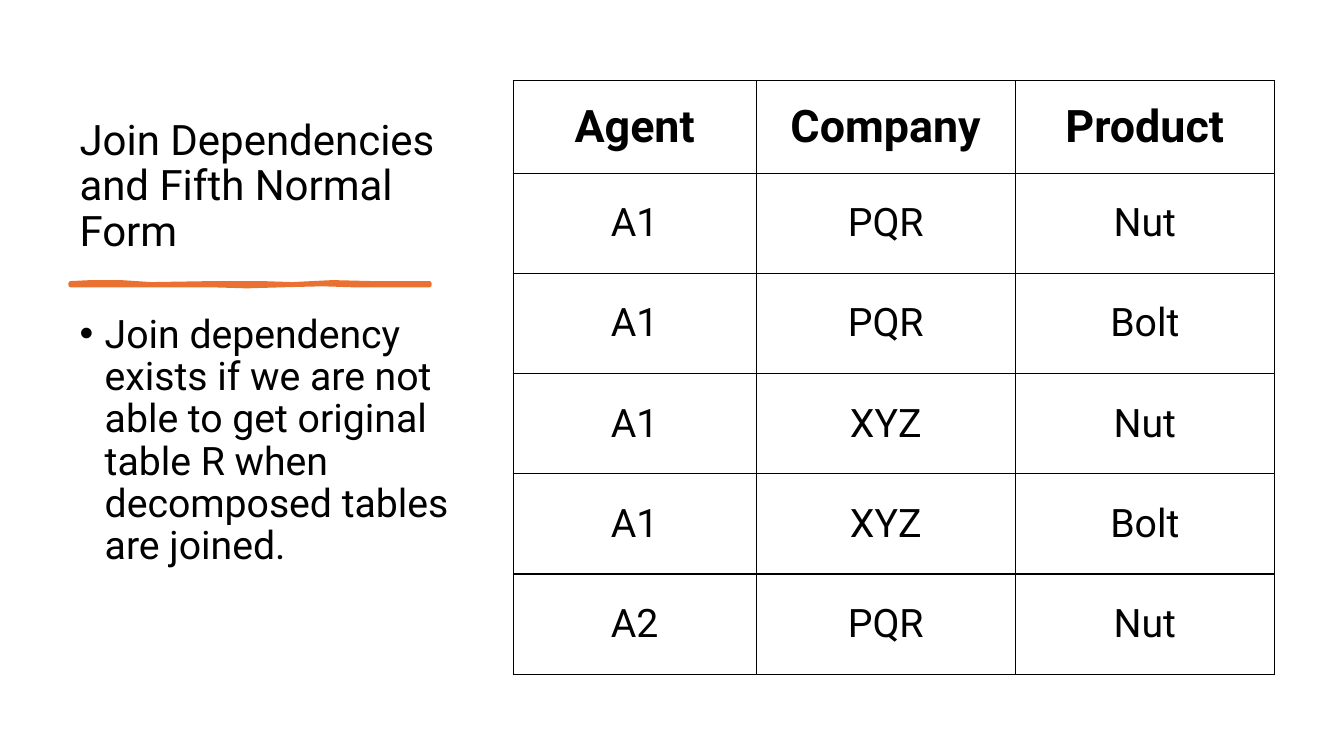
import dataclasses

import pptx
import pptx.dml.color
import pptx.enum.text
import pptx.oxml
import pptx.oxml.ns
import pptx.util
from pptx.util import Inches


@dataclasses.dataclass(frozen=True)
class Theme:
    """Colours, font and type sizes of the slide."""
    ink: str = "000000"
    accent: str = "E97132"
    font: str = "Roboto"
    title_size: int = 30
    body_size: int = 28
    header_size: int = 32
    stroke: float = 3
    border: float = 1


THEME = Theme()
TITLE = "Join Dependencies and Fifth Normal Form"
BODY = ("Join dependency exists if we are not able to get original table R "
        "when decomposed tables are joined.")
ROWS = [
    ("Agent", "Company", "Product"),
    ("A1", "PQR", "Nut"),
    ("A1", "PQR", "Bolt"),
    ("A1", "XYZ", "Nut"),
    ("A1", "XYZ", "Bolt"),
    ("A2", "PQR", "Nut"),
]
COLUMN_WIDTHS = (2.41, 2.57, 2.57)
HEADER_HEIGHT = 0.92
BRUSH_TOP = [(0, 0), (0.2, -0.01), (0.5, -0.01), (0.8, 0.01), (1.4, 0), (1.9, 0),
             (2.2, 0.01), (2.6, -0.01), (3, 0), (3.25, 0), (3.56, 0)]
BRUSH_BOTTOM = [(3.56, 0.02), (3.2, 0.02), (2.8, 0.02), (2.5, 0.01), (2.1, 0.02),
                (1.75, 0.03), (1.4, 0.02), (0.8, 0.02), (0.4, 0.02), (0, 0.02)]


def color(value):
    """Return the colour for a hex value."""
    return pptx.dml.color.RGBColor.from_string(value)


def add_xml(parent, tag, position=None, content="", **attributes):
    """Add a drawing element to a parent, at its end unless a position is given."""
    settings = "".join(f' {name}="{value}"' for name, value in attributes.items())
    element = pptx.oxml.parse_xml(
        f'<a:{tag} {pptx.oxml.ns.nsdecls("a")}{settings}>{content}</a:{tag}>')
    parent.insert(len(parent) if position is None else position, element)


def style_paragraph(paragraph, size, bold=False):
    """Set the font of a paragraph."""
    font = paragraph.font
    font.name = THEME.font
    font.size = pptx.util.Pt(size)
    font.bold = bold
    font.color.rgb = color(THEME.ink)


def add_text(slide, box, text, size, anchor, bullet=False):
    """Add a wrapped text box, with a hanging bullet if asked."""
    frame = slide.shapes.add_textbox(*map(Inches, box)).text_frame
    frame.word_wrap = True
    frame.vertical_anchor = anchor
    paragraph = frame.paragraphs[0]
    paragraph.text = text
    paragraph.line_spacing = 0.9
    if bullet:
        properties = paragraph._p.get_or_add_pPr()
        properties.set("marL", str(Inches(0.25)))
        properties.set("indent", str(-Inches(0.25)))
        add_xml(properties, "buFont", typeface="Arial")
        add_xml(properties, "buChar", char="•")
    style_paragraph(paragraph, size)


def add_brush_stroke(slide, left, top):
    """Draw the hand-drawn rule under the title."""
    points = [(Inches(left + x), Inches(top + y)) for x, y in BRUSH_TOP + BRUSH_BOTTOM]
    builder = slide.shapes.build_freeform(*points[0])
    builder.add_line_segments(points[1:], close=True)
    stroke = builder.convert_to_shape()
    stroke.shadow.inherit = False
    stroke.fill.solid()
    stroke.fill.fore_color.rgb = color(THEME.accent)
    stroke.line.color.rgb = color(THEME.accent)
    stroke.line.width = pptx.util.Pt(THEME.stroke)
    add_xml(stroke.line._get_or_add_ln(), "round")


def add_text_column(slide, left, top, width, height):
    """Place the title, the rule and the bullet text from top to bottom."""
    title_height, body_top = 1.88, 2.37
    anchors = pptx.enum.text.MSO_ANCHOR
    add_text(slide, (left, top, width - 0.16, title_height), TITLE,
             THEME.title_size, anchors.BOTTOM)
    add_brush_stroke(slide, left + 0.01, top + 2.11)
    add_text(slide, (left, top + body_top, width, height - body_top), BODY,
             THEME.body_size, anchors.TOP, bullet=True)


def style_cell(cell, is_header):
    """Set the margins, borders and type of a table cell."""
    cell.fill.background()
    cell.vertical_anchor = pptx.enum.text.MSO_ANCHOR.MIDDLE
    cell.margin_left = cell.margin_right = Inches(0.16)
    cell.margin_top = cell.margin_bottom = Inches(0.16 if is_header else 0.23)
    line_fill = f'<a:solidFill><a:srgbClr val="{THEME.ink}"/></a:solidFill>'
    for position, tag in enumerate(("lnL", "lnR", "lnT", "lnB")):
        add_xml(cell._tc.get_or_add_tcPr(), tag, position, line_fill,
                w=pptx.util.Pt(THEME.border))
    paragraph = cell.text_frame.paragraphs[0]
    paragraph.alignment = pptx.enum.text.PP_ALIGN.CENTER
    style_paragraph(paragraph, THEME.header_size if is_header else THEME.body_size,
                    is_header)


def add_agent_table(slide, left, top, width, height):
    """Place the table of agents, companies and products."""
    box = map(Inches, (left, top, width, height))
    table = slide.shapes.add_table(len(ROWS), len(ROWS[0]), *box).table
    table.horz_banding = False
    for column, share in zip(table.columns, COLUMN_WIDTHS):
        column.width = Inches(width * share / sum(COLUMN_WIDTHS))
    body_height = (height - HEADER_HEIGHT) / (len(ROWS) - 1)
    for row_index, values in enumerate(ROWS):
        is_header = row_index == 0
        table.rows[row_index].height = Inches(HEADER_HEIGHT if is_header else body_height)
        for column_index, value in enumerate(values):
            cell = table.cell(row_index, column_index)
            cell.text = value
            style_cell(cell, is_header)


def main():
    """Build the slide and save it."""
    presentation = pptx.Presentation()
    presentation.slide_width = Inches(13.33)
    presentation.slide_height = Inches(7.5)
    slide = presentation.slides.add_slide(presentation.slide_layouts[6])
    add_text_column(slide, 0.69, 0.7, 3.91, 6.1)
    add_agent_table(slide, 5.09, 0.8, 7.55, 5.89)
    presentation.save("out.pptx")


if __name__ == "__main__":
    main()
